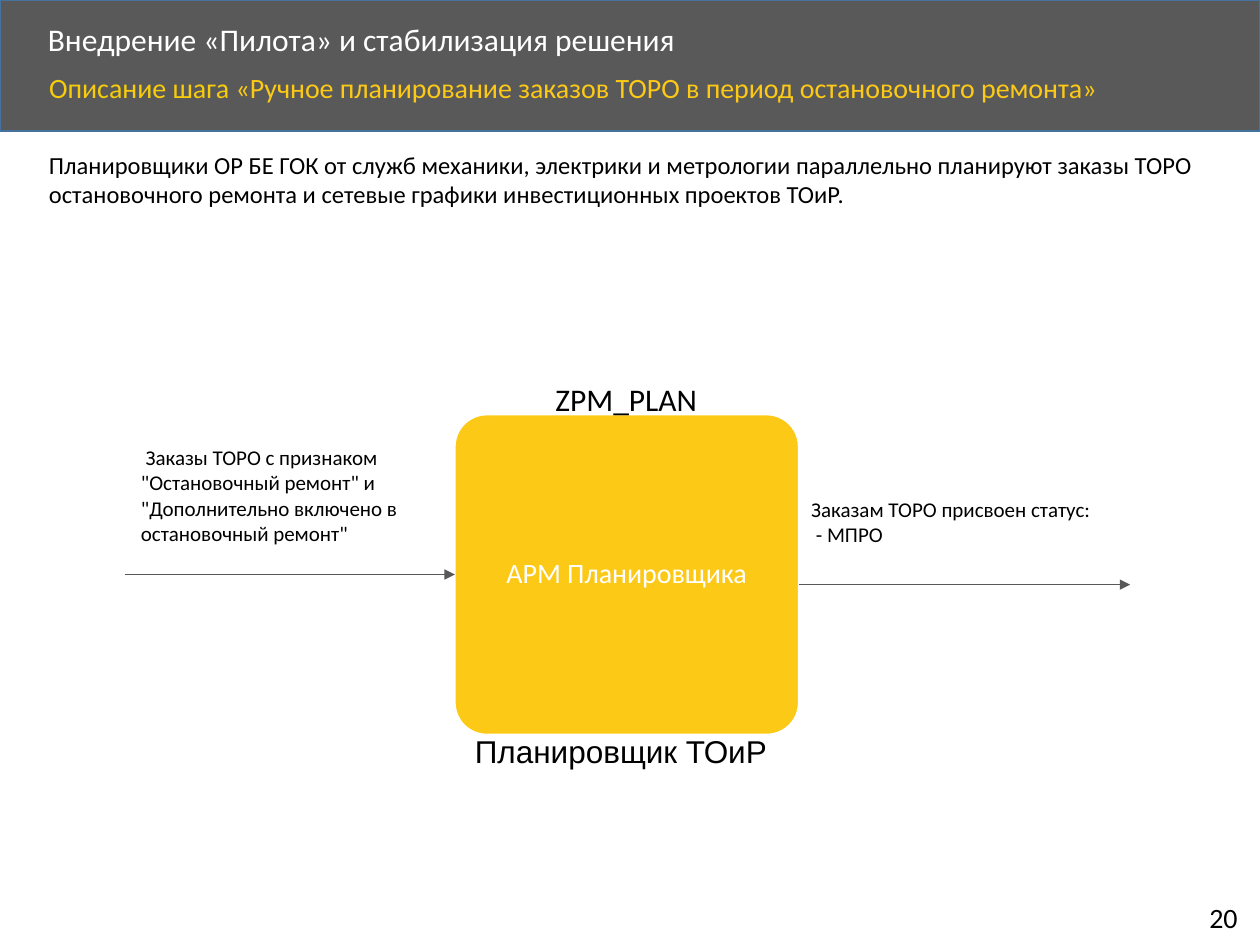
from pptx import Presentation
from pptx.dml.color import RGBColor
from pptx.enum import shapes, text
from pptx.oxml import ns
from pptx.util import Inches, Pt
from lxml import etree

COLORS = {
    "band": "595959",
    "band_edge": "43739E",
    "yellow": "FCC917",
    "soft_yellow": "F6CC0C",
    "white": "FFFFFF",
    "black": "000000",
}


def rgb(name):
    return RGBColor.from_string(COLORS[name])


def place(shape, left, top, width, height):
    shape.left, shape.top = Inches(left), Inches(top)
    shape.width, shape.height = Inches(width), Inches(height)


def format_runs(frame, size, color, font="Calibri"):
    for paragraph in frame.paragraphs:
        for run in paragraph.runs:
            run.font.size = Pt(size)
            run.font.name = font
            run.font.color.rgb = rgb(color)


def add_rect(slide, kind, box, fill, edge):
    rect = slide.shapes.add_shape(kind, *map(Inches, box))
    rect.shadow.inherit = False
    rect.fill.solid()
    rect.fill.fore_color.rgb = rgb(fill)
    rect.line.color.rgb = rgb(edge)
    rect.line.width = Pt(1)
    return rect


def add_label(slide, box, wording, size, font="Calibri", wrap=True):
    label = slide.shapes.add_textbox(*map(Inches, box))
    frame = label.text_frame
    frame.word_wrap = wrap
    frame.text = wording
    format_runs(frame, size, "black", font)


def add_arrow(slide, start_x, end_x, y):
    arrow = slide.shapes.add_connector(
        shapes.MSO_CONNECTOR.STRAIGHT,
        Inches(start_x), Inches(y), Inches(end_x), Inches(y))
    arrow.line.color.rgb = rgb("band")
    arrow.line.width = Pt(0.5)
    etree.SubElement(arrow.line._get_or_add_ln(), ns.qn("a:tailEnd"), type="triangle")
    etree.SubElement(arrow._element.spPr, ns.qn("a:effectLst"))
    return arrow


def build_header(slide, left, top, width, height):
    band = add_rect(slide, shapes.MSO_SHAPE.RECTANGLE,
                    (left, top, width, height), "band", "band_edge")
    slide.shapes._spTree.insert(2, band._element)  # behind the placeholders

    title = slide.shapes.title
    place(title, left + 0.28, top + 0.14, 8.07, 0.38)
    title.text_frame.text = "Внедрение «Пилота» и стабилизация решения"
    title.text_frame.vertical_anchor = text.MSO_ANCHOR.MIDDLE
    format_runs(title.text_frame, 18, "white")

    subtitle = slide.placeholders[1]
    place(subtitle, left + 0.29, top + 0.54, 8.65, 0.45)
    step = subtitle.text_frame.paragraphs[0]
    properties = step._p.get_or_add_pPr()
    properties.set("marL", "0")
    properties.set("indent", "0")
    etree.SubElement(properties, ns.qn("a:buNone"))
    step.add_run().text = "Описание шага "
    step_name = step.add_run()
    step_name.text = "«Ручное планирование заказов ТОРО в период остановочного ремонта»"
    format_runs(subtitle.text_frame, 16, "soft_yellow")
    step_name.font.color.rgb = rgb("yellow")

    for placeholder in (title, subtitle):
        frame = placeholder.text_frame
        frame.auto_size = text.MSO_AUTO_SIZE.NONE
        frame.word_wrap = True
        paragraph = frame.paragraphs[0]
        paragraph.alignment = text.PP_ALIGN.LEFT
        paragraph.line_spacing = 0.9
        paragraph.space_before = Pt(0)


def build_step(slide, left, top, width, height):
    """Workplace block with its captions, incoming and outgoing flows."""
    right, bottom = left + width, top + height
    block = add_rect(slide, shapes.MSO_SHAPE.ROUNDED_RECTANGLE,
                     (left, top, width, height), "yellow", "white")
    block.adjustments[0] = 0.1
    frame = block.text_frame
    frame.word_wrap = True
    frame.vertical_anchor = text.MSO_ANCHOR.MIDDLE
    frame.text = "АРМ Планировщика"
    frame.paragraphs[0].alignment = text.PP_ALIGN.CENTER
    frame.paragraphs[0].line_spacing = 0.9
    format_runs(frame, 16, "white")

    add_label(slide, (left + 0.7, top - 0.32, 1.34, 0.4), "ZPM_PLAN", 18, wrap=False)
    add_label(slide, (left + 0.06, bottom - 0.07, 2.61, 0.4),
              "Планировщик ТОиР", 18, font="Arial")

    incoming = add_arrow(slide, left - 2.62, left, top + height / 2)
    incoming.end_connect(block, 1)
    add_label(slide, (left - 2.59, top + 0.19, 2.56, 0.91),
              ' Заказы ТОРО с признаком "Остановочный ремонт" и '
              '"Дополнительно включено в остановочный ремонт"', 12)

    add_arrow(slide, right, right + 2.63, top + 1.35)
    add_label(slide, (right, top + 0.6, 2.57, 0.5),
              "Заказам ТОРО присвоен статус:\n - МПРО", 12)


def main():
    prs = Presentation()
    prs.slide_width, prs.slide_height = Inches(10), Inches(7.5)
    slide = prs.slides.add_slide(prs.slide_layouts[1])

    build_header(slide, 0, 0, 10, 1.04)
    add_label(slide, (0.29, 1.14, 9.46, 0.57),
              "Планировщики ОР БЕ ГОК от служб механики, электрики и метрологии "
              "параллельно планируют заказы ТОРО остановочного ремонта и сетевые "
              "графики инвестиционных проектов ТОиР.", 14)
    build_step(slide, 3.61, 3.29, 2.73, 2.54)
    add_label(slide, (9.5, 7.1, 0.46, 0.37), "20", 16, wrap=False)

    prs.save("out.pptx")


if __name__ == "__main__":
    main()
